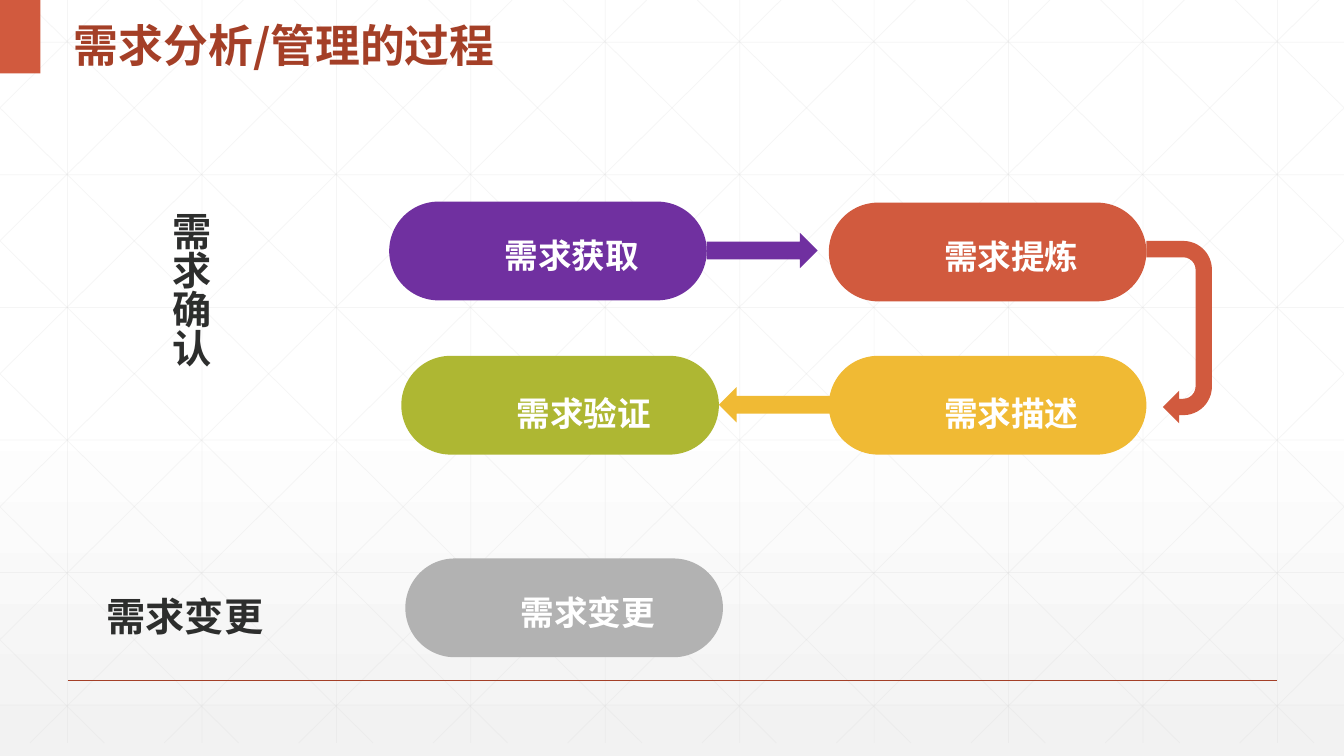
from lxml.etree import SubElement
from pptx import Presentation
from pptx.dml.color import RGBColor
from pptx.enum.shapes import MSO_CONNECTOR, MSO_SHAPE
from pptx.enum.text import MSO_ANCHOR, PP_ALIGN
from pptx.oxml.ns import qn
from pptx.util import Inches, Pt

WHITE = RGBColor(0xFF, 0xFF, 0xFF)
PALE_GRAY = RGBColor(0xF2, 0xF2, 0xF2)
GRID_GRAY = RGBColor(0xD9, 0xD9, 0xD9)
MID_GRAY = RGBColor(0xB2, 0xB2, 0xB2)
INK = RGBColor(0x2D, 0x2E, 0x2D)
BRICK = RGBColor(0xA4, 0x3F, 0x27)
CORAL = RGBColor(0xD1, 0x5A, 0x3E)
PURPLE = RGBColor(0x70, 0x30, 0xA0)
AMBER = RGBColor(0xF0, 0xBA, 0x34)
OLIVE = RGBColor(0xAE, 0xB7, 0x33)

CJK_FONT = "Noto Sans CJK SC"
WIDTH, HEIGHT = 13.33, 7.5
GRID_BOTTOM = 7.37
GRID_STEP = 4 / 3
PILL_WIDTH, PILL_HEIGHT = 3.15, 0.98


def write_text(shape, text, size, color, font=CJK_FONT, align=PP_ALIGN.CENTER,
               spacing=None, indent=0, inset=(0.1, 0.05), vertical=False):
    """Write one bold, vertically centred paragraph into a shape."""
    frame = shape.text_frame
    frame.word_wrap = True
    frame.vertical_anchor = MSO_ANCHOR.MIDDLE
    frame.margin_left = frame.margin_right = Inches(inset[0])
    frame.margin_top = frame.margin_bottom = Inches(inset[1])
    if vertical:
        frame._txBody.bodyPr.set("vert", "eaVert")
    paragraph = frame.paragraphs[0]
    paragraph.alignment = align
    paragraph.line_spacing = spacing
    properties = paragraph._p.get_or_add_pPr()
    properties.set("marL", str(Inches(indent)))
    properties.set("indent", "0")
    run = paragraph.add_run()
    run.text = text
    run.font.size = Pt(size)
    run.font.bold = True
    run.font.color.rgb = color
    run.font.name = font
    SubElement(run._r.get_or_add_rPr(), qn("a:ea"), typeface=CJK_FONT)


def add_block(slide, kind, left, top, width, height, color, rotation=0):
    """Add a flat preset shape without outline."""
    shape = slide.shapes.add_shape(
        kind, Inches(left), Inches(top), Inches(width), Inches(height))
    shape.shadow.inherit = False
    shape.fill.solid()
    shape.fill.fore_color.rgb = color
    shape.line.fill.background()
    shape.rotation = rotation
    return shape


def add_pill(slide, text, left, top, color, spacing):
    """Add a labelled process step with fully rounded ends."""
    pill = add_block(slide, MSO_SHAPE.ROUNDED_RECTANGLE, left, top,
                     PILL_WIDTH, PILL_HEIGHT, color)
    pill.adjustments[0] = 0.5
    write_text(pill, text, 24, WHITE, font="Arial", spacing=spacing,
               indent=0.47, inset=(0.2, 0.1))


def add_label(slide, text, left, top, width, height, **text_format):
    """Add a dark stage label."""
    box = slide.shapes.add_textbox(
        Inches(left), Inches(top), Inches(width), Inches(height))
    write_text(box, text, 28, INK, font="Times New Roman", **text_format)


def add_line(slide, start, end, color, weight, opacity=100):
    """Add a straight line between two points."""
    line = slide.shapes.add_connector(
        MSO_CONNECTOR.STRAIGHT, *(Inches(value) for value in (*start, *end)))
    line.line.color.rgb = color
    line.line.width = Pt(weight)
    if opacity < 100:
        fill_color = line.line.fill._xPr.find(qn("a:solidFill"))[0]
        SubElement(fill_color, qn("a:alpha"), val=str(opacity * 1000))
    SubElement(line._element.spPr, qn("a:effectLst"))


def add_grid(slide):
    """Add the faint grid with both sets of clipped diagonals."""
    segments = []
    for column in range(10):
        x = 0.67 + column * GRID_STEP
        segments.append(((x, 0), (x, GRID_BOTTOM)))
    for row in range(6):
        y = 0.42 + row * 1.315
        segments.append(((0, y), (WIDTH, y)))
    run = 7.45
    for step in range(-5, 10):
        origin = 0.25 + step * GRID_STEP
        left, right = max(origin, 0), min(origin + run, WIDTH)
        top, bottom = ((x - origin) * GRID_BOTTOM / run for x in (left, right))
        segments.append(((left, top), (right, bottom)))
        segments.append(((WIDTH - left, top), (WIDTH - right, bottom)))
    for start, end in segments:
        add_line(slide, start, end, GRID_GRAY, 0.5, opacity=25)


def set_background(slide):
    """Fade the background from white to pale gray."""
    fill = slide.background.fill
    fill.gradient()
    fill.gradient_angle = 270
    for stop, position, color in zip(
            fill.gradient_stops, (0.53, 1), (WHITE, PALE_GRAY)):
        stop.position = position
        stop.color.rgb = color


def set_title(slide, text):
    """Place the title above the grid and format it."""
    title = slide.shapes.title
    title.left, title.top = Inches(0.63), Inches(0)
    title.width, title.height = Inches(5.69), Inches(0.73)
    write_text(title, text, 32, BRICK, align=PP_ALIGN.LEFT, spacing=1.3)
    slide.shapes._spTree.append(title._element)


def main():
    """Build and save the slide."""
    presentation = Presentation()
    presentation.slide_width = Inches(WIDTH)
    presentation.slide_height = Inches(HEIGHT)
    slide = presentation.slides.add_slide(presentation.slide_layouts[5])
    set_background(slide)
    add_grid(slide)
    add_line(slide, (0.67, 6.75), (12.67, 6.75), BRICK, 1)
    add_block(slide, MSO_SHAPE.RECTANGLE, 0, 0, 0.4, 0.73, CORAL)
    set_title(slide, "需求分析/管理的过程")

    add_label(slide, "需求变更", 0.67, 5.82, 2.33, 0.57)
    add_pill(slide, "需求变更", 4.02, 5.54, MID_GRAY, 1.2)

    add_block(slide, MSO_SHAPE.RIGHT_ARROW, 7.01, 2.31, 1.1, 0.35, PURPLE)
    add_pill(slide, "需求获取", 3.86, 2, PURPLE, 1.2)
    add_pill(slide, "需求提炼", 8.22, 2.01, CORAL, 1.2)
    add_block(slide, MSO_SHAPE.U_TURN_ARROW, 10.79, 2.97, 1.81, 0.65, CORAL,
              rotation=90)
    add_pill(slide, "需求描述", 8.22, 3.53, AMBER, 1.4)
    add_block(slide, MSO_SHAPE.RIGHT_ARROW, 7.13, 3.84, 1.15, 0.35, AMBER,
              rotation=180)
    add_pill(slide, "需求验证", 3.98, 3.53, OLIVE, 1.4)
    add_label(slide, "需求确认", 1.56, 2, 0.67, 2.5, align=PP_ALIGN.LEFT,
              inset=(0.05, 0.1), vertical=True)

    presentation.save("out.pptx")


if __name__ == "__main__":
    main()
